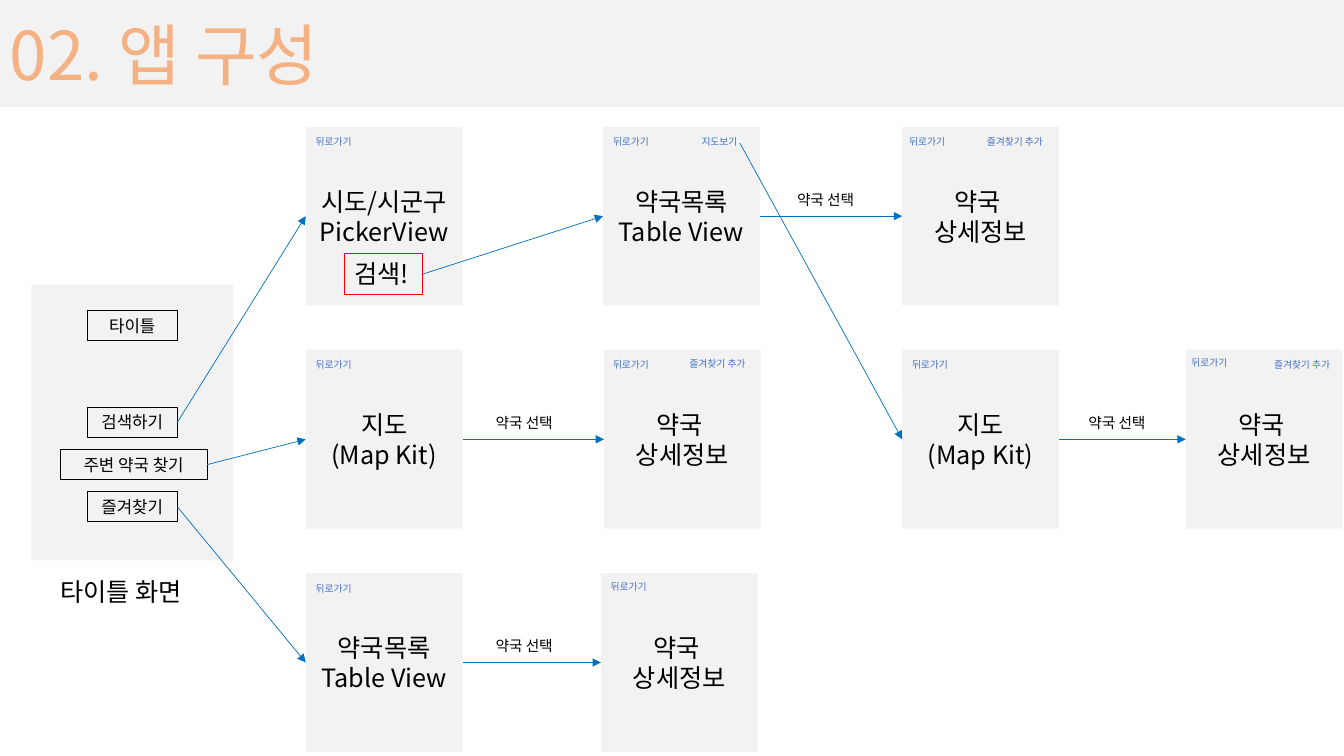
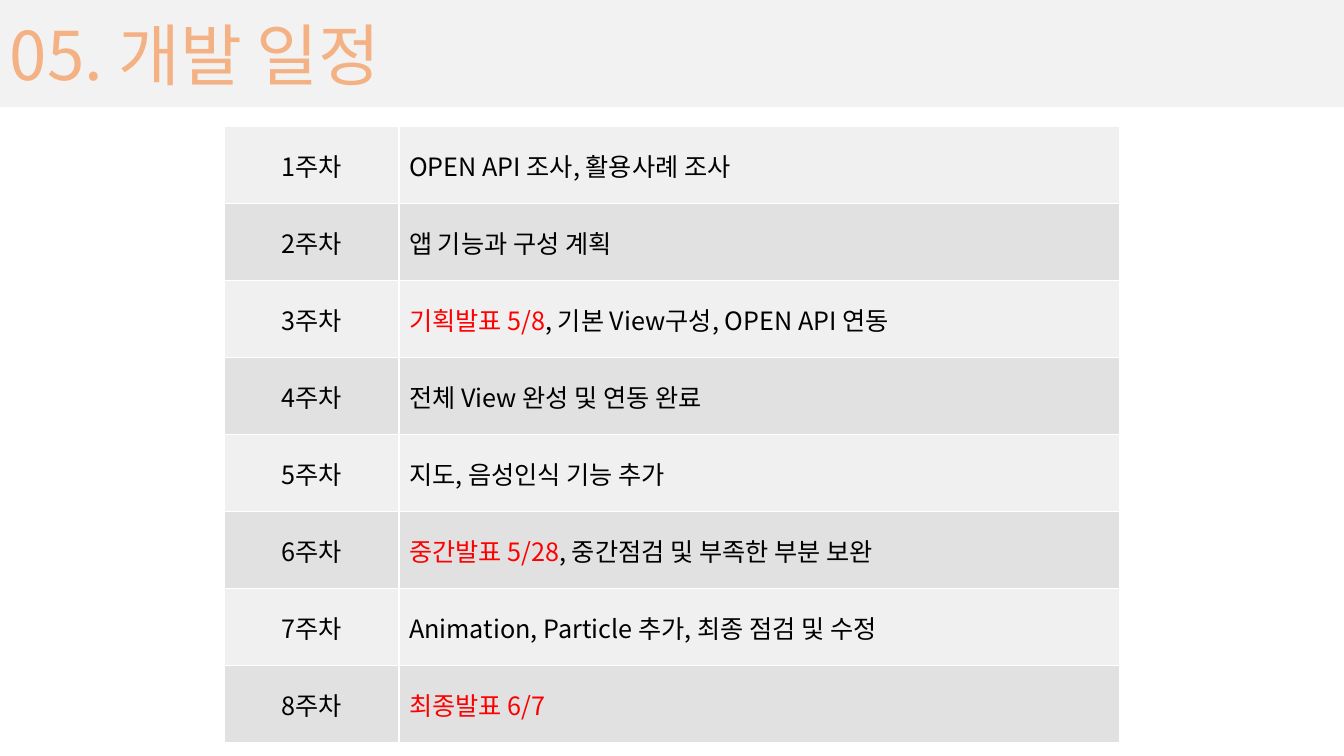
from lxml import etree
from pptx import Presentation
from pptx.dml.color import RGBColor
from pptx.enum import shapes, text
from pptx.oxml import ns
from pptx.util import Pt

WIDTH, HEIGHT = 960, 540
CARD_W, CARD_H = 112, 127.6
CARD_TOP, ROW_STEP = 90.6, 159.4
CENTER = text.PP_ALIGN.CENTER
MIDDLE, TOP = text.MSO_ANCHOR.MIDDLE, text.MSO_ANCHOR.TOP


def color(code):
    return RGBColor.from_string(code)


class Deck:
    FONT = "Noto Sans CJK KR"
    BLACK, PANEL, TITLE = "000000", "F2F2F2", "F4B183"
    BLUE, ARROW, RED = "4472C4", "0070C0", "FF0000"
    STRIPES = ("F0F0F0", "E1E1E1")

    def __init__(self):
        self.show = Presentation()
        self.show.slide_width, self.show.slide_height = Pt(WIDTH), Pt(HEIGHT)
        self.slide = None

    def new_slide(self, title):
        self.slide = self.show.slides.add_slide(self.show.slide_layouts[6])
        self.rect(0, 0, WIDTH, 76.5, fill=self.PANEL, lines=[title], size=48,
                  ink=self.TITLE, align=None)

    def style(self, paragraph, size, ink, align=None):
        font = paragraph.font
        font.size, font.name = Pt(size), self.FONT
        font.color.rgb = color(ink)
        if align is not None:
            paragraph.alignment = align
        defaults = paragraph._p.pPr.find(ns.qn("a:defRPr"))
        etree.SubElement(defaults, ns.qn("a:ea"), typeface=self.FONT)

    def set_text(self, frame, lines, size, ink, align, wrap, grow):
        frame.word_wrap = wrap
        if grow:
            frame.auto_size = text.MSO_AUTO_SIZE.SHAPE_TO_FIT_TEXT
        frame.text = "\n".join(lines)
        for paragraph in frame.paragraphs:
            self.style(paragraph, size, ink, align)

    def rect(self, x, y, w, h, fill=None, line=None, lines=(), size=18,
             ink=BLACK, align=CENTER, wrap=True, grow=False):
        shape = self.slide.shapes.add_shape(
            shapes.MSO_SHAPE.RECTANGLE, Pt(x), Pt(y), Pt(w), Pt(h))
        shape.shadow.inherit = False
        if fill:
            shape.fill.solid()
            shape.fill.fore_color.rgb = color(fill)
        else:
            shape.fill.background()
        if line:
            shape.line.color.rgb = color(line)
            shape.line.width = Pt(0.75)
        else:
            shape.line.fill.background()
        if lines:
            shape.text_frame.vertical_anchor = TOP if grow else MIDDLE
            align = text.PP_ALIGN.LEFT if align is None else align
            self.set_text(shape.text_frame, lines, size, ink, align, wrap, grow)
        return shape

    def button(self, x, y, w, label):
        return self.rect(x, y, w, 21.8, line=self.BLACK, lines=[label],
                         size=12, grow=True)

    def label(self, x, y, w, h, words, size, ink=BLACK, wrap=False):
        box = self.slide.shapes.add_textbox(Pt(x), Pt(y), Pt(w), Pt(h))
        self.set_text(box.text_frame, [words], size, ink, None, wrap, True)

    def card(self, x, row, lines, back=(0, 3), action=None):
        y = CARD_TOP + row * ROW_STEP
        screen = self.rect(x, y, CARD_W, CARD_H, fill=self.PANEL, lines=lines)
        links = [("뒤로가기", 47, *back)] + ([action] if action else [])
        for words, w, dx, dy in links:
            self.label(x + dx, y + dy, w, 15.8, words, 7, self.BLUE, True)
        return screen

    def arrow(self, start, target):
        line = self.slide.shapes.add_connector(
            shapes.MSO_CONNECTOR.STRAIGHT, 0, 0, 0, 0)
        if isinstance(start, tuple):
            line.begin_x, line.begin_y = Pt(start[0]), Pt(start[1])
        else:
            line.begin_connect(start, 3)
        line.end_connect(target, 1)
        line.line.color.rgb = color(self.ARROW)
        line.line.width = Pt(0.5)
        etree.SubElement(line.get_or_add_ln(), ns.qn("a:tailEnd"),
                         type="triangle")
        etree.SubElement(line._element.spPr, ns.qn("a:effectLst"))

    def schedule(self, x, y, widths, row_h, weeks):
        table = self.slide.shapes.add_table(
            len(weeks), 2, Pt(x), Pt(y), Pt(sum(widths)),
            Pt(row_h * len(weeks))).table
        table.first_row = table.horz_banding = False
        for column, width in zip(table.columns, widths):
            column.width = Pt(width)
        for i, (milestone, work) in enumerate(weeks):
            table.rows[i].height = Pt(row_h)
            week_cell, plan_cell = table.cell(i, 0), table.cell(i, 1)
            for cell in (week_cell, plan_cell):
                cell.fill.solid()
                cell.fill.fore_color.rgb = color(self.STRIPES[i % 2])
                cell.vertical_anchor = MIDDLE
            week_cell.text = f"{i + 1}주차"
            self.style(week_cell.text_frame.paragraphs[0], 18, self.BLACK, CENTER)
            plan = plan_cell.text_frame.paragraphs[0]
            self.style(plan, 18, self.BLACK)
            for words, ink in ((milestone, self.RED), (work, self.BLACK)):
                if words:
                    run = plan.add_run()
                    run.text = words
                    run.font.color.rgb = color(ink)


deck = Deck()

deck.new_slide("02. 앱 구성")
deck.rect(22.5, 203.3, 144, 197, fill=deck.PANEL)
deck.label(36, 408.2, 111.6, 29, "타이틀 화면", 18)
deck.button(62.4, 221.7, 64.2, "타이틀")
search = deck.button(62.4, 290.9, 64.2, "검색하기")
nearby = deck.button(43, 321, 105, "주변 약국 찾기")
favorites = deck.button(62.4, 351, 64.2, "즐겨찾기")

PHARMACIES = ["약국목록", "Table View"]
MAP = ["지도", "(Map Kit)"]
DETAILS = ["약국 ", "상세정보"]
ADD = "즐겨찾기 추가"
picker = deck.card(218.4, 0, ["시도/시군구", "PickerView"])
found = deck.card(430.8, 0, PHARMACIES, action=("지도보기", 48, 63.2, 3))
found_details = deck.card(644.4, 0, DETAILS, (-2, 3), (ADD, 71, 53.5, 3))
nearby_map = deck.card(218.4, 1, MAP)
nearby_details = deck.card(431.4, 1, DETAILS, (-0.6, 3), (ADD, 71, 54, 2))
found_map = deck.card(644.4, 1, MAP)
map_details = deck.card(847, 1, DETAILS, (-3, 1.5), (ADD, 71, 56, 3))
saved = deck.card(218.4, 2, PHARMACIES)
saved_details = deck.card(429.2, 2, DETAILS, (0, 2))
submit = deck.rect(245.8, 181.3, 56.2, 29, line=deck.RED, lines=["검색!"],
                   align=None, wrap=False, grow=True)

for start, target in (
        (search, picker), (nearby, nearby_map), (favorites, saved),
        (submit, found), ((528.5, 102.2), found_map),
        (found, found_details), (nearby_map, nearby_details),
        (found_map, map_details), (saved, saved_details)):
    deck.arrow(start, target)

for x, row in ((562.3, 0), (347, 1), (770.4, 1), (347, 2)):
    y = CARD_TOP + row * ROW_STEP + CARD_H / 2 - 22
    deck.label(x, y, 62.6, 20.9, "약국 선택", 10.5)

deck.new_slide("05. 개발 일정")
deck.schedule(160, CARD_TOP, (125, 515), 55, [
    ("", "OPEN API 조사, 활용사례 조사"),
    ("", "앱 기능과 구성 계획"),
    ("기획발표 5/8", ", 기본 View구성, OPEN API 연동"),
    ("", "전체 View 완성 및 연동 완료"),
    ("", "지도, 음성인식 기능 추가"),
    ("중간발표 5/28", ", 중간점검 및 부족한 부분 보완 "),
    ("", "Animation, Particle 추가, 최종 점검 및 수정"),
    ("최종발표 6/7", ""),
])

deck.show.save("out.pptx")
